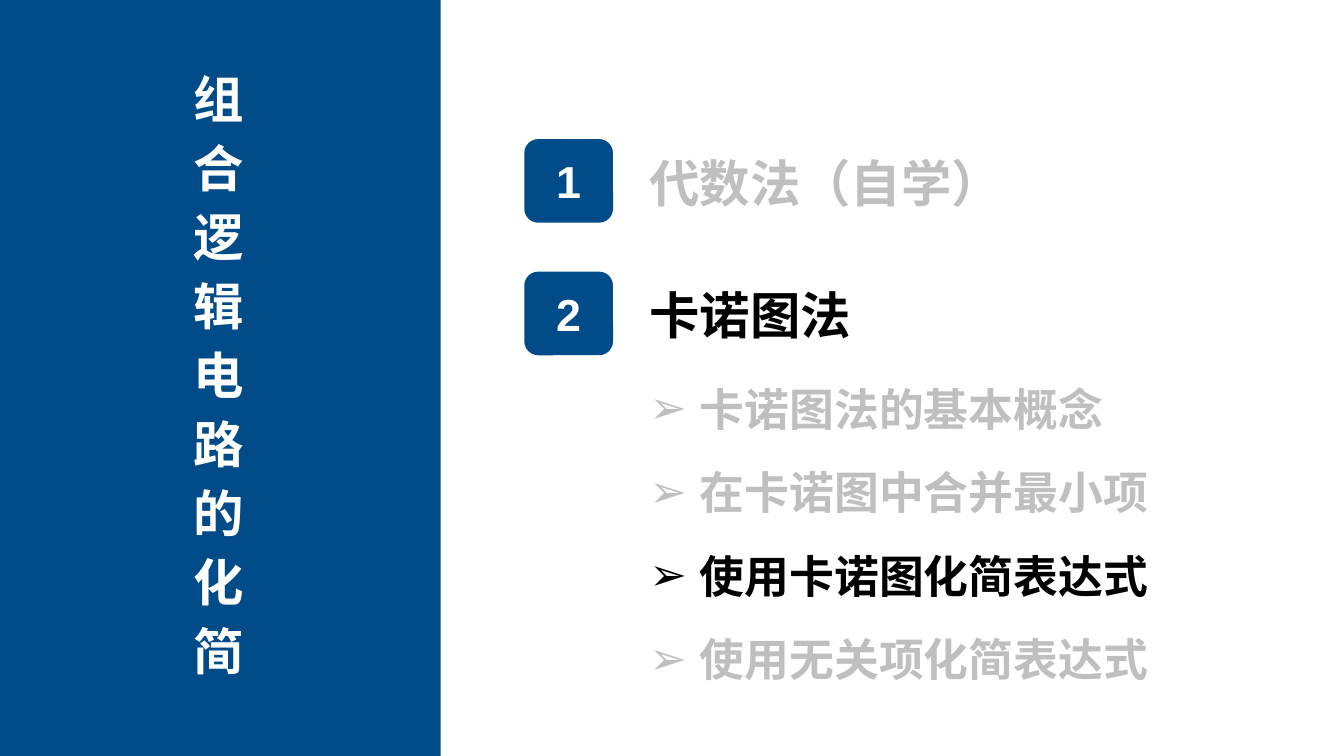
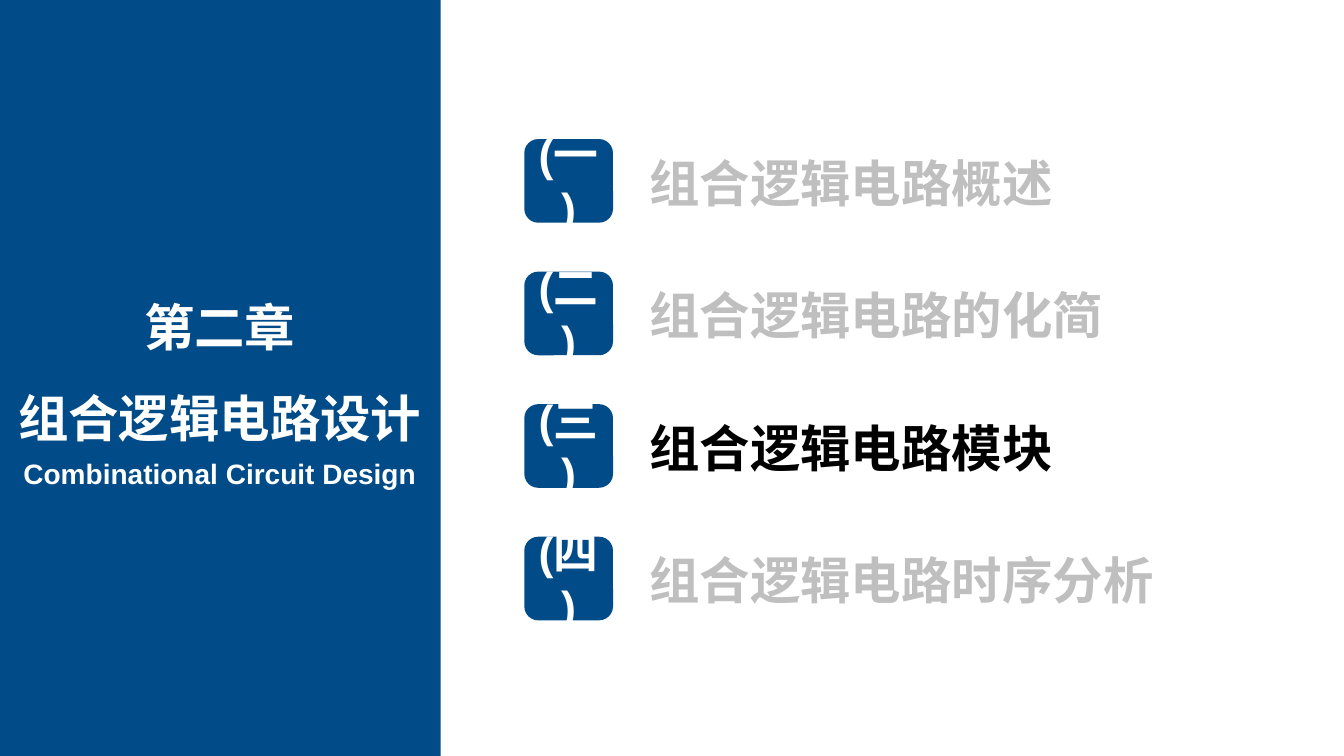
from lxml import etree
from pptx import Presentation
from pptx.dml.color import RGBColor
from pptx.enum.shapes import MSO_SHAPE
from pptx.enum.text import MSO_ANCHOR, PP_ALIGN
from pptx.oxml.ns import qn
from pptx.util import Inches, Pt

RECTANGLE = MSO_SHAPE.RECTANGLE
ROUNDED = MSO_SHAPE.ROUNDED_RECTANGLE
TOP, MIDDLE = MSO_ANCHOR.TOP, MSO_ANCHOR.MIDDLE
LEFT, CENTER = PP_ALIGN.LEFT, PP_ALIGN.CENTER

FONT = "Arial"
BLUE, WHITE, BLACK, GRAY = "014B88", "FFFFFF", "000000", "BFBFBF"
BADGE_LEFT, TEXT_LEFT = 5.2, 6.44
FIRST_TOP, ITEM_STEP = 1.38, 1.315
POINT_TOP, POINT_STEP = 3.78, 0.828


def add_block(slide, left, top, width, height, geometry):
    shape = slide.shapes.add_shape(
        geometry, Inches(left), Inches(top), Inches(width), Inches(height))
    shape.shadow.inherit = False
    shape.fill.solid()
    shape.fill.fore_color.rgb = RGBColor.from_string(BLUE)
    shape.line.fill.background()
    return shape


def add_text(slide, lines, box=None, shape=None, size=36, color=WHITE, align=LEFT,
             anchor=MIDDLE, margins=(0, 0), wrap=True, space_after=None,
             line_spacing=None, bullet=None):
    if shape is None:
        shape = slide.shapes.add_textbox(*[Inches(length) for length in box])
    frame = shape.text_frame
    frame.word_wrap = wrap
    frame.vertical_anchor = anchor
    frame.margin_left = frame.margin_right = Inches(margins[0])
    frame.margin_top = frame.margin_bottom = Inches(margins[1])
    for index, line in enumerate(lines):
        paragraph = frame.paragraphs[0] if index == 0 else frame.add_paragraph()
        paragraph.alignment = align
        if space_after is not None:
            paragraph.space_after = Pt(space_after)
        if line_spacing is not None:
            paragraph.line_spacing = line_spacing
        if bullet:
            properties = paragraph._p.get_or_add_pPr()
            properties.set("marL", str(Inches(0.5)))
            properties.set("indent", str(-Inches(0.5)))
            etree.SubElement(properties, qn("a:buFont")).set("typeface", FONT)
            etree.SubElement(properties, qn("a:buChar")).set("char", bullet)
        run = paragraph.add_run()
        run.text = line
        run.font.name = FONT
        run.font.size = Pt(size)
        run.font.bold = True
        run.font.color.rgb = RGBColor.from_string(color)


presentation = Presentation()
presentation.slide_width = Inches(13.33)
presentation.slide_height = Inches(7.5)

agendas = [
    [("1", "代数法（自学）", GRAY), ("2", "卡诺图法", BLACK)],
    [("(一)", "组合逻辑电路概述", GRAY),
     ("(二)", "组合逻辑电路的化简", GRAY),
     ("(三)", "组合逻辑电路模块", BLACK),
     ("(四)", "组合逻辑电路时序分析", GRAY)],
]
slides = []
for agenda in agendas:
    slide = presentation.slides.add_slide(presentation.slide_layouts[6])
    slides.append(slide)
    add_block(slide, 0, 0, 4.37, 7.5, RECTANGLE)
    for index, (number, title, color) in enumerate(agenda):
        top = FIRST_TOP + index * ITEM_STEP
        badge = add_block(slide, BADGE_LEFT, top, 0.88, 0.83, ROUNDED)
        add_text(slide, [number], shape=badge, size=32, align=CENTER, margins=(0.08, 0.05))
        add_text(slide, [title], box=(TEXT_LEFT, top + 0.12, 5.56, 0.61), color=color)

method_slide, chapter_slide = slides

add_text(method_slide, "组合逻辑电路的化简", box=(1.13, 0.68, 2.08, 6.13),
         align=CENTER, anchor=TOP, space_after=6)
points = [
    ("卡诺图法的基本概念", GRAY),
    ("在卡诺图中合并最小项", GRAY),
    ("使用卡诺图化简表达式", BLACK),
    ("使用无关项化简表达式", GRAY),
]
for index, (point, color) in enumerate(points):
    add_text(method_slide, [point], size=32, color=color, bullet="➢",
             box=(TEXT_LEFT, POINT_TOP + index * POINT_STEP, 5.06, 0.54))

add_text(chapter_slide, ["第二章", "组合逻辑电路设计"], box=(0.16, 2.64, 4.04, 1.71),
         align=CENTER, anchor=TOP, wrap=False, line_spacing=1.5)
add_text(chapter_slide, ["Combinational Circuit Design"], box=(0.22, 4.53, 3.92, 0.34),
         size=20, align=CENTER, anchor=TOP, wrap=False)

presentation.save("out.pptx")
